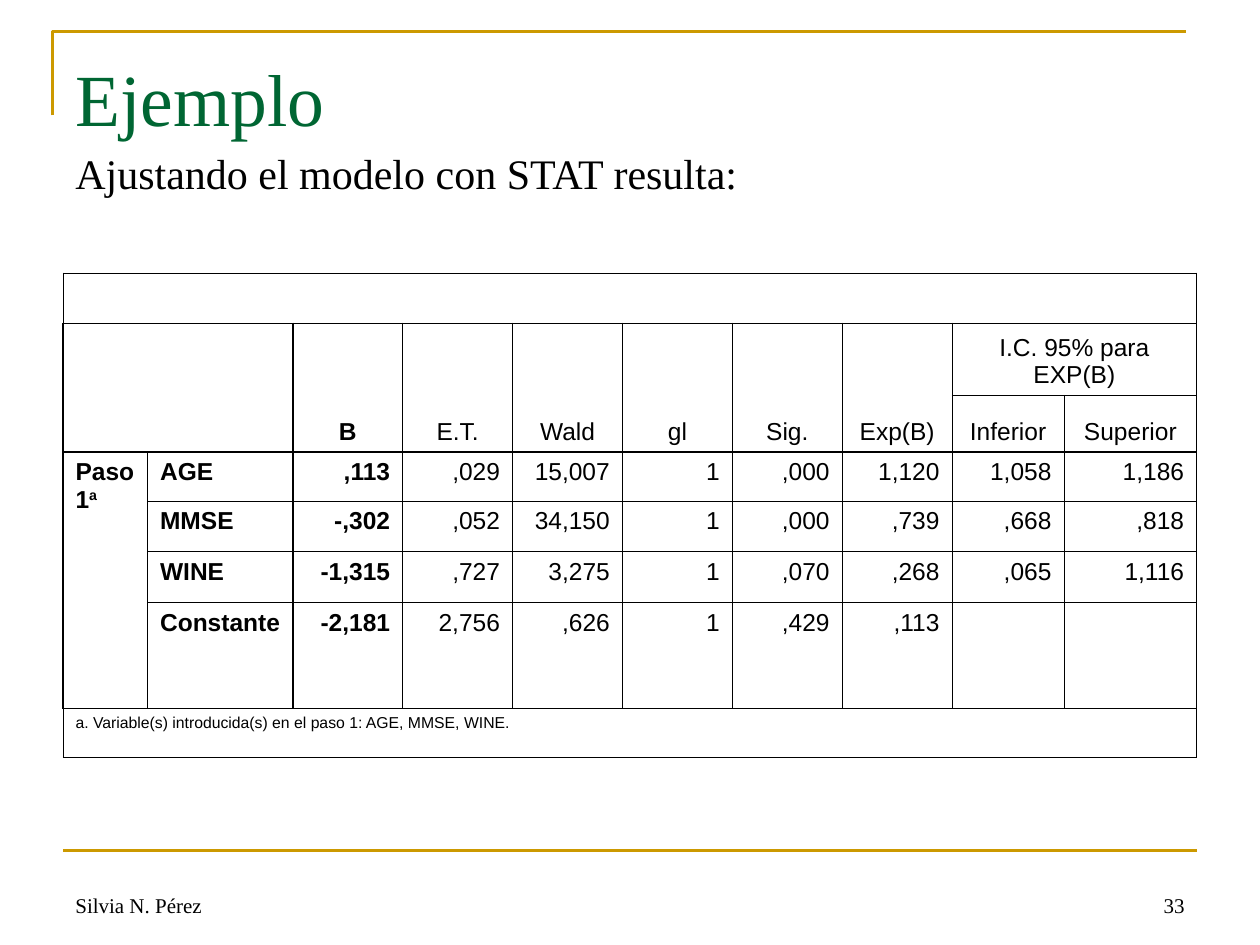
from dataclasses import dataclass
from lxml.etree import SubElement as Sub
from pptx import Presentation as Deck
from pptx.dml.color import RGBColor as Color
from pptx.enum.shapes import MSO_CONNECTOR as Conn
from pptx.enum.text import MSO_ANCHOR as Anchor, PP_ALIGN as Align
from pptx.oxml.ns import qn
from pptx.util import Pt


@dataclass(frozen=True)
class Theme:
    ink: str = "000000"
    paper: str = "FFFFFF"
    gold: str = "CC9900"
    green: str = "006633"
    serif: str = "Times New Roman"
    sans: str = "Arial"
    title: int = 42
    body: int = 24
    cell: int = 14
    foot: int = 12
    note: int = 9
    rule: float = 1.5


T = Theme()
THIN, MID, THICK = 0.34, 0.45, 0.96

COLS = [48.3, 83.1] + [62.8] * 6 + [64, 75.8]
ROWS = [28.5, 41, 32.5, 28, 29, 29, 60.5, 28]

# Line widths of the grid, from the left edge and from the top edge
DOWN = [THICK, THIN, THICK] + [MID] * 7 + [THICK]
ACROSS = [THIN, THICK, MID, THICK, THIN, THIN, THIN, THICK, THIN]

# First row, first column, last row, last column
SPANS = [(0, 0, 0, 9), (1, 0, 2, 1), (1, 8, 1, 9), (3, 0, 6, 0), (7, 0, 7, 9)]
SPANS += [(1, col, 2, col) for col in range(2, 8)]

HEADS = ["B", "E.T.", "Wald", "gl", "Sig.", "Exp(B)", "I.C. 95% para EXP(B)"]
LIMITS = ["Inferior", "Superior"]
DATA = [
    ["AGE", ",113", ",029", "15,007", "1", ",000", "1,120", "1,058", "1,186"],
    ["MMSE", "-,302", ",052", "34,150", "1", ",000", ",739", ",668", ",818"],
    ["WINE", "-1,315", ",727", "3,275", "1", ",070", ",268", ",065", "1,116"],
    ["Constante", "-2,181", "2,756", ",626", "1", ",429", ",113"],
]
NOTE = "a. Variable(s) introducida(s) en el paso 1: AGE, MMSE, WINE."


def put(obj, vals):
    for name, val in vals.items():
        setattr(obj, name, val)


def write(para, text, size, face=T.sans, color=T.ink, bold=False):
    run = para.add_run()
    run.text = text
    put(run.font, {"size": Pt(size), "name": face, "bold": bold})
    run.font.color.rgb = Color.from_string(color)
    return run


def label(slide, box, text, size, color=T.ink, anchor=Anchor.TOP, top=3.6, **form):
    frame = slide.shapes.add_textbox(*map(Pt, box)).text_frame
    put(frame, {"word_wrap": True, "vertical_anchor": anchor, "margin_top": Pt(top)})
    para = frame.paragraphs[0]
    put(para, form)
    write(para, text, size, T.serif, color)


def stroke(line):
    line.color.rgb = Color.from_string(T.gold)
    line.width = Pt(T.rule)


def corner(slide):
    pen = slide.shapes.build_freeform(Pt(30), Pt(66))
    pen.add_line_segments([(Pt(30), Pt(18)), (Pt(678), Pt(18))], close=False)
    shape = pen.convert_to_shape()
    shape.shadow.inherit = False
    shape.fill.background()
    stroke(shape.line)


def rule(slide):
    line = slide.shapes.add_connector(Conn.STRAIGHT, Pt(36), Pt(486), Pt(684), Pt(486))
    stroke(line.line)
    Sub(line._element.spPr, qn("a:effectLst"))


def border(cell, widths):
    props = cell._tc.get_or_add_tcPr()
    for spot, (side, width) in enumerate(widths.items()):
        line = Sub(props, qn(f"a:ln{side}"), w=str(Pt(width)))
        Sub(Sub(line, qn("a:solidFill")), qn("a:srgbClr"), val=T.ink)
        props.insert(spot, line)


def edges(cell, row, col):
    side = THIN if row in (0, 7) else None
    left = THICK if (row, col) == (4, 1) else DOWN[col]
    return {
        "L": side or left,
        "R": side or DOWN[col + max(cell.span_width, 1)],
        "T": ACROSS[row],
        "B": ACROSS[row + max(cell.span_height, 1)],
    }


def fill(cell, text, align=Align.LEFT, bold=False, size=T.cell):
    para = cell.text_frame.paragraphs[0]
    para.alignment = align
    write(para, text, size, bold=bold)
    return para


def grid(slide):
    frame = slide.shapes.add_table(len(ROWS), len(COLS), Pt(36), Pt(156), Pt(648), Pt(sum(ROWS)))
    table = frame.table
    put(table, {"first_row": False, "horz_banding": False})
    for col, width in zip(table.columns, COLS):
        col.width = Pt(width)
    for row, height in zip(table.rows, ROWS):
        row.height = Pt(height)
    for top, left, low, right in SPANS:
        table.cell(top, left).merge(table.cell(low, right))

    # Fills and borders
    for row in range(len(ROWS)):
        for col in range(len(COLS)):
            cell = table.cell(row, col)
            cell.fill.solid()
            cell.fill.fore_color.rgb = Color.from_string(T.paper)
            if not cell.is_spanned:
                border(cell, edges(cell, row, col))

    # Column heads
    for row, start, texts in ((1, 2, HEADS), (2, 8, LIMITS)):
        for col, text in enumerate(texts, start):
            cell = table.cell(row, col)
            cell.vertical_anchor = Anchor.BOTTOM
            fill(cell, text, Align.CENTER, bold=text == "B")

    # Step, values and footnote
    step = fill(table.cell(3, 0), "Paso 1", bold=True)
    mark = write(step, "a", T.cell, bold=True)
    mark.font._element.set("baseline", "30000")
    for row, texts in enumerate(DATA, 3):
        for col, text in enumerate(texts, 1):
            align = Align.LEFT if col == 1 else Align.RIGHT
            fill(table.cell(row, col), text, align, bold=col < 3)
    fill(table.cell(7, 0), NOTE, size=T.note)


def main():
    deck = Deck()
    put(deck, {"slide_width": Pt(720), "slide_height": Pt(540)})
    slide = deck.slides.add_slide(deck.slide_layouts[6])

    # Frame lines
    corner(slide)
    rule(slide)

    # Footer
    low = {"size": T.foot, "anchor": Anchor.BOTTOM}
    label(slide, (36, 492, 168, 36), "Silvia N. Pérez", **low)
    label(slide, (516, 492, 168, 36), "33", alignment=Align.RIGHT, **low)

    # Title, lead and table
    label(slide, (36, 21.6, 648, 90), "Ejemplo", T.title, T.green, top=8.4)
    label(slide, (36, 84, 654, 357), "Ajustando el modelo con STAT resulta:", T.body,
          top=6, alignment=Align.JUSTIFY, line_spacing=0.8)
    grid(slide)

    deck.save("out.pptx")


if __name__ == "__main__":
    main()
